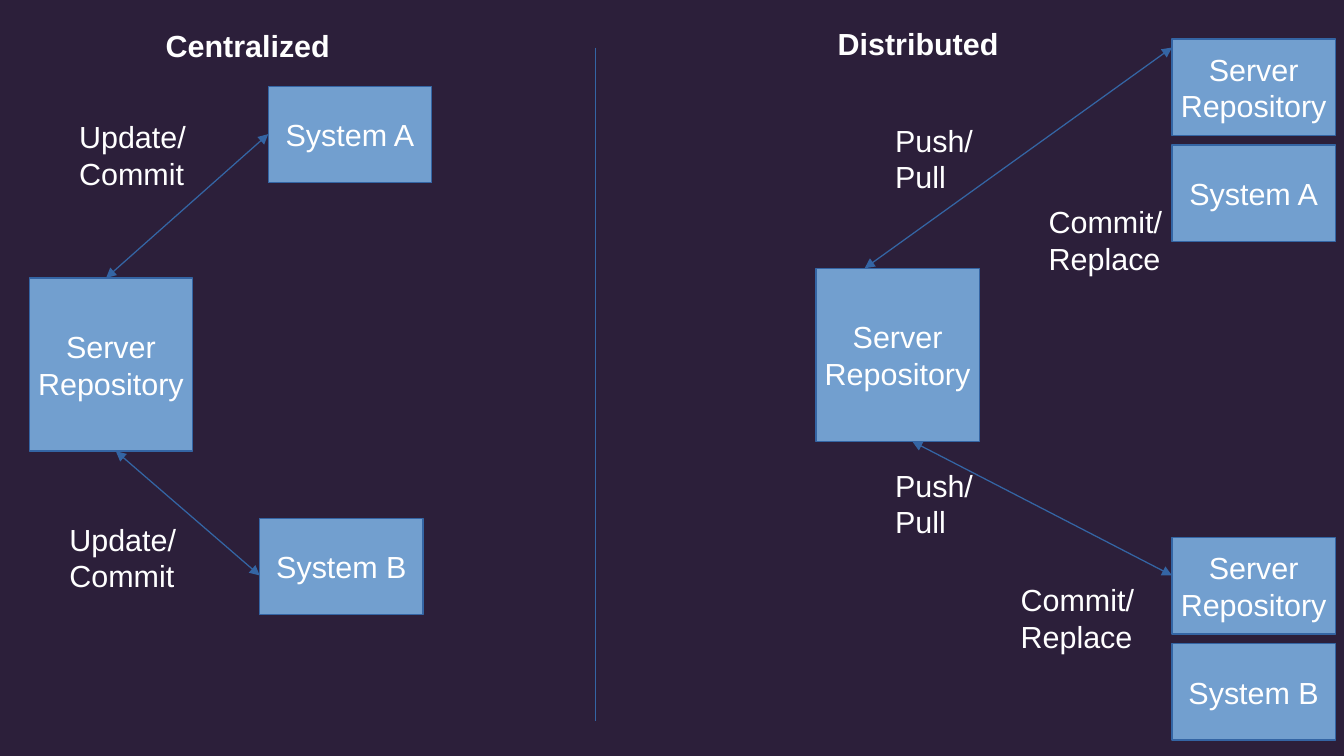
import pptx
import pptx.dml.color
import pptx.enum.shapes
import pptx.enum.text
import pptx.oxml.ns
import pptx.util
from lxml import etree

Inches = pptx.util.Inches
RGBColor = pptx.dml.color.RGBColor
ALIGN = pptx.enum.text.PP_ALIGN
ANCHOR = pptx.enum.text.MSO_ANCHOR

DARK = RGBColor(0x2C, 0x1F, 0x3A)
BLUE = RGBColor(0x72, 0x9F, 0xCF)
EDGE = RGBColor(0x34, 0x65, 0xA4)
WHITE = RGBColor(0xFF, 0xFF, 0xFF)

WIDTH, HEIGHT, SPLIT = 11.02, 6.2, 4.88
BLOCK_W, BLOCK_H, STORE_H, STEP = 1.34, 0.79, 1.42, 0.87
STORE = "Server\nRepository"


def write(shape, text, bold=False, align=ALIGN.LEFT, anchor=ANCHOR.TOP, wrap=True):
    frame = shape.text_frame
    frame.text = text
    frame.word_wrap = wrap
    frame.vertical_anchor = anchor
    for para in frame.paragraphs:
        para.alignment = align
        font = para.runs[0].font
        font.name, font.size, font.bold = "Arial", pptx.util.Pt(18), bold
        font.color.rgb = WHITE


def label(slide, text, left, top, width=1.18, height=0.66, bold=False):
    area = map(Inches, (left, top, width, height))
    write(slide.shapes.add_textbox(*area), text, bold=bold)


def title(slide, text, left, top):
    label(slide, text, left, top, 1.57, 0.38, bold=True)


def block(slide, text, left, top, height=BLOCK_H):
    area = map(Inches, (left, top, BLOCK_W, height))
    shape = slide.shapes.add_shape(pptx.enum.shapes.MSO_SHAPE.RECTANGLE, *area)
    shape.shadow.inherit = False
    shape.fill.solid()
    shape.fill.fore_color.rgb = BLUE
    shape.line.color.rgb = EDGE
    shape.line.width = pptx.util.Pt(0.75)
    write(shape, text, align=ALIGN.CENTER, anchor=ANCHOR.MIDDLE, wrap=False)


def link(slide, x1, y1, x2, y2, arrows=True):
    ends = map(Inches, (x1, y1, x2, y2))
    line = slide.shapes.add_connector(pptx.enum.shapes.MSO_CONNECTOR.STRAIGHT, *ends)
    line.line.color.rgb = EDGE
    line.line.width = pptx.util.Pt(0.75)
    qn = pptx.oxml.ns.qn
    props = line._element.spPr
    if arrows:
        for end in ("a:headEnd", "a:tailEnd"):
            etree.SubElement(props.find(qn("a:ln")), qn(end), type="triangle")
    etree.SubElement(props, qn("a:effectLst"))


def central(slide, left, top):
    block(slide, STORE, left + 0.24, top + 2.28, STORE_H)
    block(slide, "System A", left + 2.2, top + 0.71)
    block(slide, "System B", left + 2.13, top + 4.25)
    link(slide, left + 0.87, top + 2.28, left + 2.2, top + 1.1)
    link(slide, left + 0.95, top + 3.7, left + 2.13, top + 4.72)
    title(slide, "Centralized", left + 1.26, top + 0.17)
    for x, y in ((0.55, 0.92), (0.47, 4.22)):
        label(slide, "Update/Commit", left + x, top + y)


def client(slide, name, left, top):
    block(slide, STORE, left, top)
    block(slide, name, left, top + STEP)


def spread(slide, left, top):
    block(slide, STORE, left + 1.81, top + 2.2, STORE_H)
    client(slide, "System A", left + 4.73, top + 0.32)
    client(slide, "System B", left + 4.73, top + 4.41)
    link(slide, left + 2.21, top + 2.2, left + 4.73, top + 0.39)
    link(slide, left + 2.6, top + 3.62, left + 4.73, top + 4.72)
    title(slide, "Distributed", left + 1.89, top + 0.16)
    for text, x, y in (
        ("Commit/Replace", 3.62, 1.62),
        ("Commit/Replace", 3.39, 4.72),
        ("Push/Pull", 2.36, 0.95),
        ("Push/Pull", 2.36, 3.78),
    ):
        label(slide, text, left + x, top + y)


def main():
    deck = pptx.Presentation()
    deck.slide_width, deck.slide_height = Inches(WIDTH), Inches(HEIGHT)
    slide = deck.slides.add_slide(deck.slide_layouts[6])
    slide.background.fill.solid()
    slide.background.fill.fore_color.rgb = DARK
    central(slide, 0, 0)
    link(slide, SPLIT, 0.39, SPLIT, 5.91, arrows=False)
    spread(slide, SPLIT, 0)
    deck.save("out.pptx")


if __name__ == "__main__":
    main()
